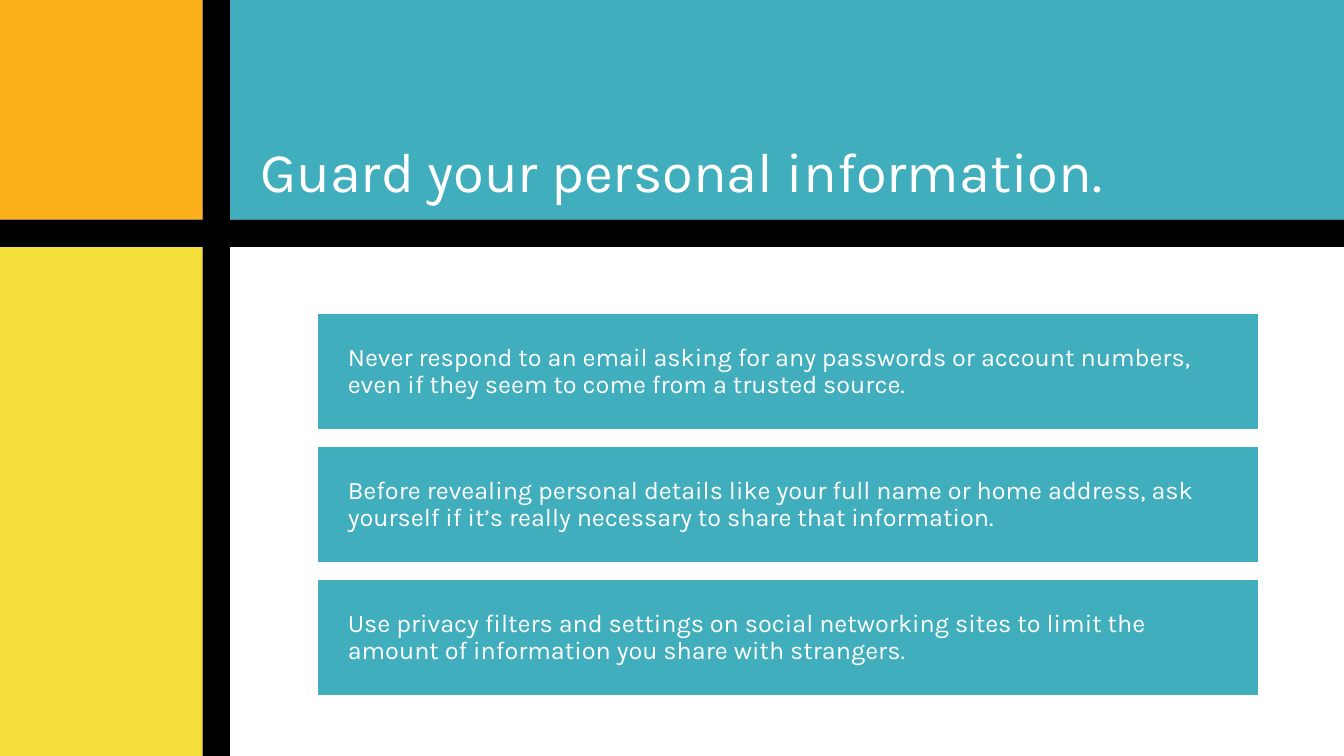
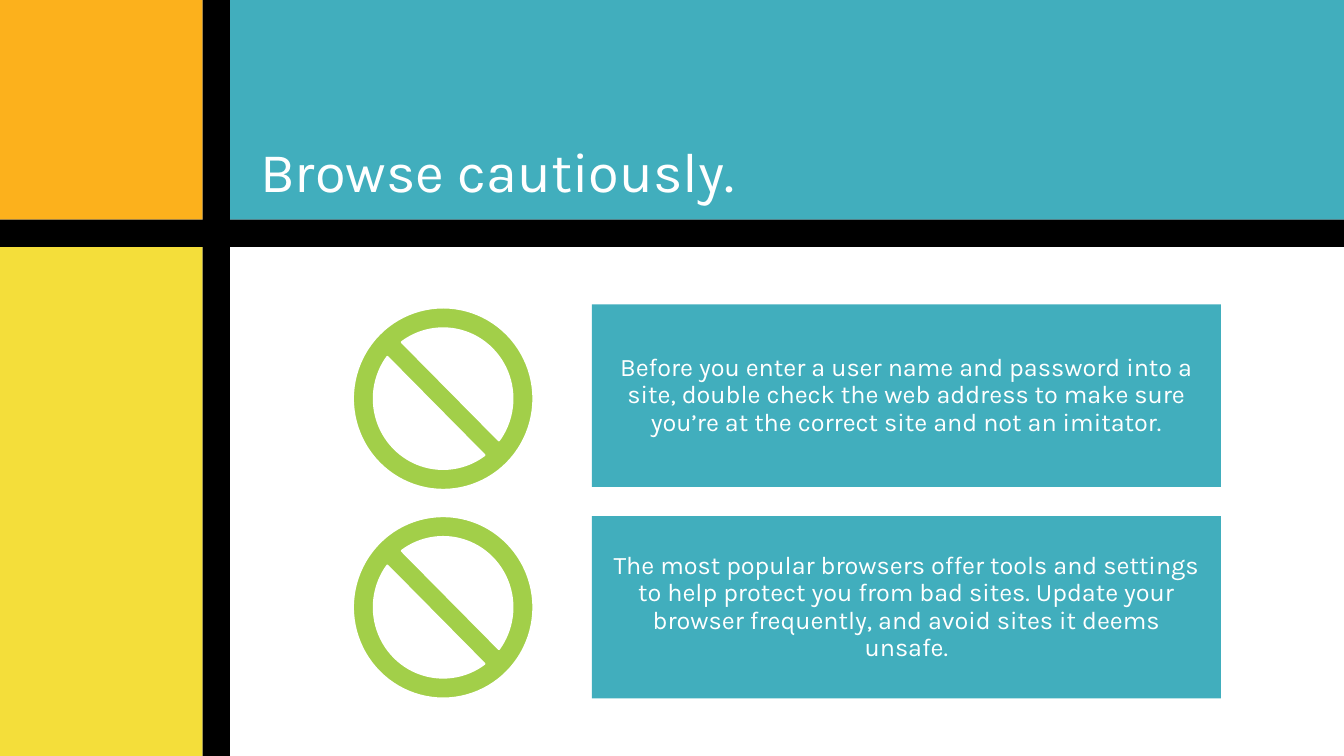
from pptx import Presentation
from pptx.dml.color import RGBColor
from pptx.enum.shapes import MSO_SHAPE as Shape
from pptx.enum.text import MSO_ANCHOR as Anchor, MSO_AUTO_SIZE as AutoSize, PP_ALIGN as Align
from pptx.util import Inches, Pt

FONT = "Karla"
WHITE, BLACK, TEAL = "FFFFFF", "000000", "41AEBD"
ORANGE, YELLOW, GREEN = "FCB11C", "F4DE3A", "A2CF49"

WIDTH, HEIGHT = 13.33, 7.5
COLUMN, ROW, BAR = 2.01, 2.18, 0.27
MAIN_LEFT, MAIN_TOP = COLUMN + BAR, ROW + BAR

BANDS = [
    (MAIN_LEFT, 0, WIDTH - MAIN_LEFT, ROW, TEAL),
    (0, 0, COLUMN, ROW, ORANGE),
    (0, MAIN_TOP, COLUMN, HEIGHT - MAIN_TOP, YELLOW),
    (0, ROW, WIDTH, BAR, BLACK),
    (COLUMN, 0, BAR, HEIGHT, BLACK),
]

GUARD_TITLE = "Guard your personal information."
GUARD_TIPS = [
    "Never respond to an email asking for any passwords or account numbers, "
    "even if they seem to come from a trusted source.",
    "Before revealing personal details like your full name or home address, "
    "ask yourself if it’s really necessary to share that information.",
    "Use privacy filters and settings on social networking sites to limit "
    "the amount of information you share with strangers.",
]

BROWSE_TITLE = "Browse cautiously."
BROWSE_TIPS = [
    (3.02, 3.05, "Before you enter a user name and password into a site, double check "
     "the web address to make sure you’re at the correct site and not an imitator."),
    (5.12, 5.12, "The most popular browsers offer tools and settings to help protect you "
     "from bad sites. Update your browser frequently, and avoid sites it deems unsafe."),
]


def color(value):
    return RGBColor.from_string(value)


def add_block(slide, kind, left, top, width, height, fill, line_width=0):
    block = slide.shapes.add_shape(kind, *map(Inches, (left, top, width, height)))
    block.shadow.inherit = False
    block.fill.solid()
    block.fill.fore_color.rgb = color(fill)
    if line_width:
        block.line.color.rgb = color(WHITE)
        block.line.width = Pt(line_width)
    else:
        block.line.fill.background()
    return block


def set_frame(frame, anchor, side, end):
    frame.word_wrap = True
    frame.vertical_anchor = anchor
    frame.margin_left = frame.margin_right = Inches(side)
    frame.margin_top = frame.margin_bottom = Inches(end)


def write(frame, text, size, align=Align.LEFT):
    frame.text = text
    para = frame.paragraphs[0]
    para.alignment = align
    para.line_spacing = 0.9
    font = para.runs[0].font
    font.name = FONT
    font.size = Pt(size)
    font.color.rgb = color(WHITE)


def add_panel(slide, area, text, side, align, line_width=0):
    panel = add_block(slide, Shape.RECTANGLE, *area, TEAL, line_width)
    set_frame(panel.text_frame, Anchor.MIDDLE, side, 0.1)
    write(panel.text_frame, text, 18, align)


def prepare_layout(deck):
    layout = deck.slide_layouts.get_by_name("Title Only")
    tree = layout.shapes.element
    for holder in list(layout.placeholders):
        if holder.placeholder_format.idx:
            tree.remove(holder.element)
    title = layout.placeholders[0]
    title.left, title.top = Inches(MAIN_LEFT), Inches(1.27)
    title.width, title.height = Inches(10.65), Inches(0.91)
    set_frame(title.text_frame, Anchor.BOTTOM, 0.3, 0.15)
    title.text_frame.auto_size = AutoSize.SHAPE_TO_FIT_TEXT
    return layout


def add_page(deck, layout, title):
    page = deck.slides.add_slide(layout)
    write(page.shapes.title.text_frame, title, 40)
    return page


def move_bands_to_layout(page, layout):
    for index, (*area, fill) in enumerate(BANDS):
        band = add_block(page, Shape.RECTANGLE, *area, fill)
        layout.shapes.element.insert(2 + index, band.element)


def main():
    deck = Presentation()
    deck.slide_width, deck.slide_height = Inches(WIDTH), Inches(HEIGHT)
    layout = prepare_layout(deck)

    guard = add_page(deck, layout, GUARD_TITLE)
    move_bands_to_layout(guard, layout)
    for index, tip in enumerate(GUARD_TIPS):
        area = (3.15, 3.11 + index * 1.32, 9.33, 1.15)
        add_panel(guard, area, tip, 0.3, Align.LEFT, 1)

    browse = add_page(deck, layout, BROWSE_TITLE)
    for panel_top, sign_top, tip in BROWSE_TIPS:
        add_panel(browse, (5.87, panel_top, 6.24, 1.81), tip, 0.2, Align.CENTER)
        sign = add_block(browse, Shape.NO_SYMBOL, 3.5, sign_top, 1.79, 1.81, GREEN, 1.5)
        sign.adjustments[0] = 0.116

    deck.save("out.pptx")


if __name__ == "__main__":
    main()
